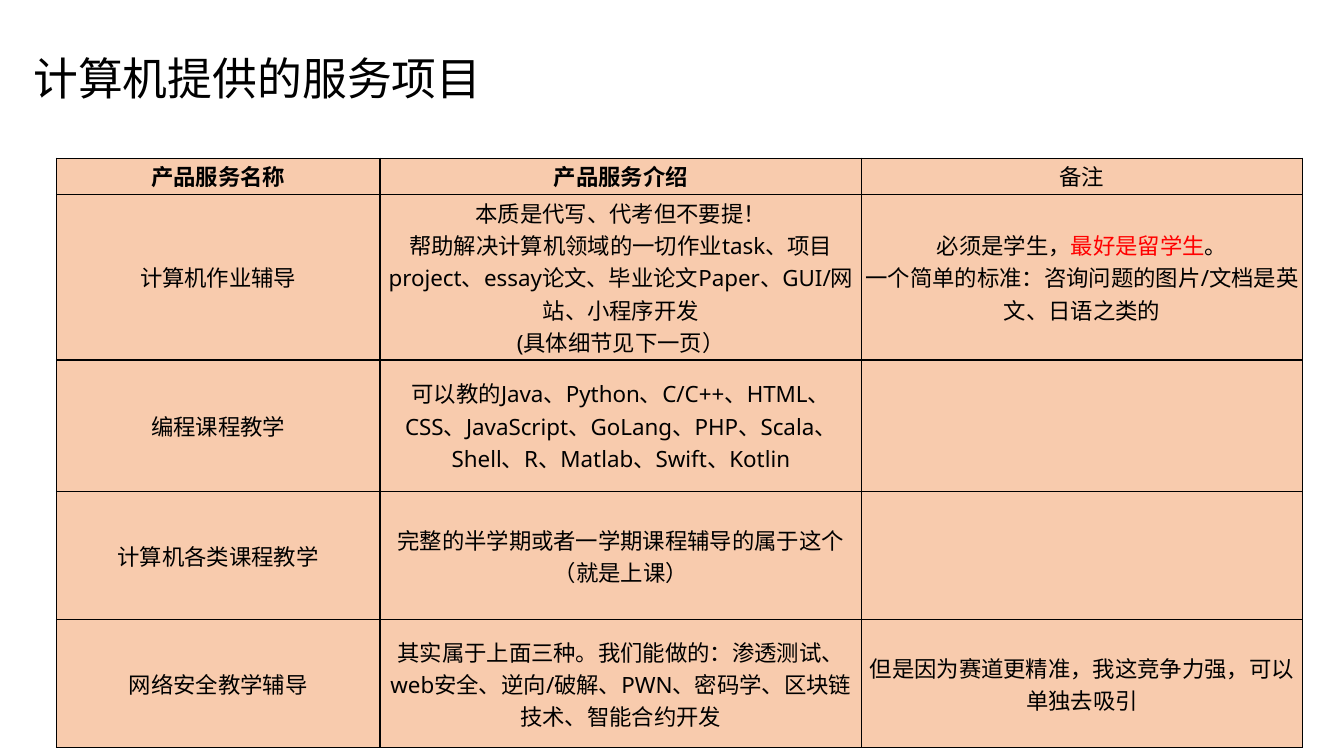
"""Build the slide that lists the computing services on offer."""
from lxml import etree
from pptx import Presentation
from pptx.dml.color import RGBColor
from pptx.enum.text import MSO_ANCHOR, MSO_AUTO_SIZE, PP_ALIGN
from pptx.oxml.ns import qn
from pptx.util import Pt

LEFT, CENTER = PP_ALIGN.LEFT, PP_ALIGN.CENTER
MIDDLE = MSO_ANCHOR.MIDDLE
COLORS = {"text": "000000", "accent": "FF0000", "cell": "F8CBAD", "border": "000000"}
LATIN, CHINESE = "Noto Sans", "Noto Sans CJK SC"
TITLE_ONLY = 5

HIGHLIGHT = "最好是留学生"
SERVICES = [
    ["产品服务名称", "产品服务介绍", "备注"],
    ["计算机作业辅导",
     "本质是代写、代考但不要提！\n"
     "帮助解决计算机领域的一切作业task、项目project、essay论文、毕业论文Paper、GUI/网站、小程序开发\n"
     "(具体细节见下一页）",
     "必须是学生，最好是留学生。\n一个简单的标准：咨询问题的图片/文档是英文、日语之类的"],
    ["编程课程教学",
     "可以教的Java、Python、C/C++、HTML、CSS、JavaScript、GoLang、PHP、"
     "Scala、Shell、R、Matlab、Swift、Kotlin",
     ""],
    ["计算机各类课程教学", "完整的半学期或者一学期课程辅导的属于这个（就是上课）", ""],
    ["网络安全教学辅导",
     "其实属于上面三种。我们能做的：渗透测试、web安全、逆向/破解、PWN、密码学、区块链技术、智能合约开发",
     "但是因为赛道更精准，我这竞争力强，可以单独去吸引"],
]
COLUMN_WIDTHS = [231.1, 344.2, 314.6]
HEADER_HEIGHT, SERVICE_HEIGHT = 20.2, 91.6


def format_paragraph(paragraph, size, align, bold=False):
    paragraph.alignment = align
    font = paragraph.font
    font.size, font.bold, font.name = Pt(size), bold, LATIN
    font.color.rgb = RGBColor.from_string(COLORS["text"])
    defaults = paragraph._p.pPr.find(qn("a:defRPr"))
    etree.SubElement(defaults, qn("a:ea"), typeface=CHINESE)


def add_borders(cell):
    properties = cell._tc.get_or_add_tcPr()
    for position, side in enumerate(("lnL", "lnR", "lnT", "lnB")):
        line = etree.Element(qn(f"a:{side}"), w=str(Pt(1)))
        fill = etree.SubElement(line, qn("a:solidFill"))
        etree.SubElement(fill, qn("a:srgbClr"), val=COLORS["border"])
        properties.insert(position, line)


prs = Presentation()
prs.slide_width, prs.slide_height = Pt(960), Pt(540)
slide = prs.slides.add_slide(prs.slide_layouts[TITLE_ONLY])

heading = slide.shapes.title
heading.left, heading.top, heading.width, heading.height = Pt(16.6), Pt(32.4), Pt(378), Pt(46)
heading.text_frame.text = "计算机提供的服务项目"
heading.text_frame.word_wrap = True
heading.text_frame.auto_size = MSO_AUTO_SIZE.NONE
heading.text_frame.vertical_anchor = MIDDLE
format_paragraph(heading.text_frame.paragraphs[0], 32, LEFT)

services = slide.shapes.add_table(
    len(SERVICES), len(COLUMN_WIDTHS), Pt(40.3), Pt(113), Pt(sum(COLUMN_WIDTHS)),
    Pt(HEADER_HEIGHT + SERVICE_HEIGHT * (len(SERVICES) - 1))).table
services.first_row = services.horz_banding = False
for column, width in zip(services.columns, COLUMN_WIDTHS):
    column.width = Pt(width)

for row_index, service in enumerate(SERVICES):
    services.rows[row_index].height = Pt(SERVICE_HEIGHT if row_index else HEADER_HEIGHT)
    for column_index, content in enumerate(service):
        cell = services.cell(row_index, column_index)
        cell.fill.solid()
        cell.fill.fore_color.rgb = RGBColor.from_string(COLORS["cell"])
        add_borders(cell)
        cell.vertical_anchor = MIDDLE
        cell.margin_left = cell.margin_right = Pt(2.7)
        cell.margin_top = cell.margin_bottom = Pt(1.35)
        cell.text_frame.text = content
        for paragraph in cell.text_frame.paragraphs:
            before, marked, after = paragraph.text.partition(HIGHLIGHT)
            if marked:
                paragraph.clear()
                for part in (before, marked, after):
                    run = paragraph.add_run()
                    run.text = part
                    if part == HIGHLIGHT:
                        run.font.color.rgb = RGBColor.from_string(COLORS["accent"])
            format_paragraph(paragraph, 16, CENTER, row_index == 0 and column_index < 2)

prs.save("out.pptx")
